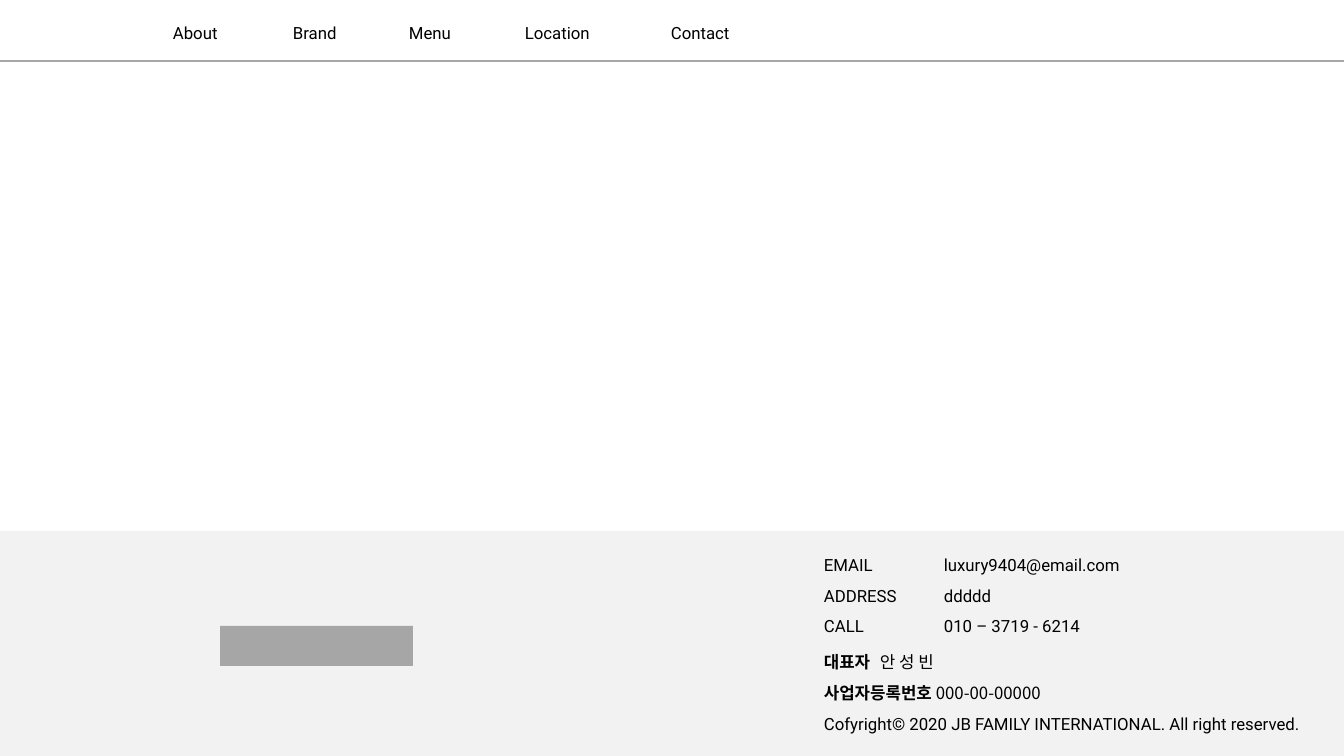
from lxml import etree
from pptx import Presentation, util as u
from pptx.dml.color import RGBColor
from pptx.enum import shapes, text
from pptx.oxml.ns import qn

PX = 914400 / 100.8
WIDTH, HEIGHT = 1344, 756
COLORS = {"ink": "000000", "rule": "A6A6A6", "footer": "E7E6E6"}
LATIN, KOREAN = "Roboto", "Noto Sans CJK KR"


def px(length):
    return u.Emu(round(length * PX))


def color(name):
    return RGBColor.from_string(COLORS[name])


def span(content, font=LATIN, bold=False):
    return content, font, bold


def add_text(page, left, top, width, height, lines, spacing=1.0, wrap=True, tab=None):
    box = page.shapes.add_textbox(px(left), px(top), px(width), px(height))
    frame = box.text_frame
    frame.word_wrap = wrap
    frame.auto_size = text.MSO_AUTO_SIZE.SHAPE_TO_FIT_TEXT
    for index, line in enumerate(lines):
        para = frame.paragraphs[0] if index == 0 else frame.add_paragraph()
        para.line_spacing = spacing
        if tab:
            stops = etree.SubElement(para._p.get_or_add_pPr(), qn("a:tabLst"))
            etree.SubElement(stops, qn("a:tab"), pos=str(px(tab)), algn="l")
        for content, font, bold in line:
            run = para.add_run()
            run.text = content
            run.font.name = font
            run.font.size = u.Pt(12)
            run.font.bold = bold
            run.font.color.rgb = color("ink")
            etree.SubElement(run.font._element, qn("a:ea"), typeface=font)


def add_block(page, left, top, width, height, fill):
    block = page.shapes.add_shape(
        shapes.MSO_SHAPE.RECTANGLE, px(left), px(top), px(width), px(height))
    block.shadow.inherit = False
    block.line.fill.background()
    block.fill.solid()
    block.fill.fore_color.rgb = color(fill)
    return block


def add_header(page, left, top, width, height):
    rule = page.shapes.add_connector(
        shapes.MSO_CONNECTOR.STRAIGHT,
        px(left), px(top + height), px(left + width), px(top + height))
    rule.line.color.rgb = color("rule")
    rule.line.width = u.Pt(1)
    etree.SubElement(rule._element.spPr, qn("a:effectLst"))
    menu = [("About", 163, 65), ("Brand", 283, 65), ("Menu", 399, 64),
            ("Location", 515, 87), ("Contact", 661, 80)]
    for label, offset, label_width in menu:
        add_text(page, left + offset, top + 18, label_width, 30,
                 [[span(label)]], wrap=False)


def add_footer(page, left, top, width, height):
    band = add_block(page, left, top, width, height, "footer")
    shade = band._element.spPr.find(".//" + qn("a:srgbClr"))
    etree.SubElement(shade, qn("a:alpha"), val="50000")
    add_block(page, left + 220, top + 95, 193, 40, "rule")

    details = left + 814
    columns = [(0, 129, ["EMAIL", "ADDRESS", "CALL"]),
               (120, 275, ["luxury9404@email.com", "ddddd", "010 – 3719 - 6214"])]
    for offset, column_width, entries in columns:
        add_text(page, details + offset, top + 9, column_width, 102,
                 [[span(entry)] for entry in entries], spacing=1.5)
    add_text(page, details, top + 106, 275, 72, [
        [span("대표자\t", KOREAN, bold=True), span("안 성 빈", KOREAN)],
        [span("사업자등록번호 ", KOREAN, bold=True), span("000-00-00000", KOREAN)],
    ], spacing=1.5, tab=56)
    add_text(page, details, top + 168, 516, 40, [
        [span("Cofyright© 2020 JB FAMILY INTERNATIONAL. All right reserved.")],
    ], spacing=1.5)


def main():
    deck = Presentation()
    deck.slide_width, deck.slide_height = px(WIDTH), px(HEIGHT)
    page = deck.slides.add_slide(deck.slide_layouts[6])
    add_footer(page, 0, 531, WIDTH, 225)
    add_header(page, 0, 0, WIDTH, 61)
    deck.save("out.pptx")


if __name__ == "__main__":
    main()
